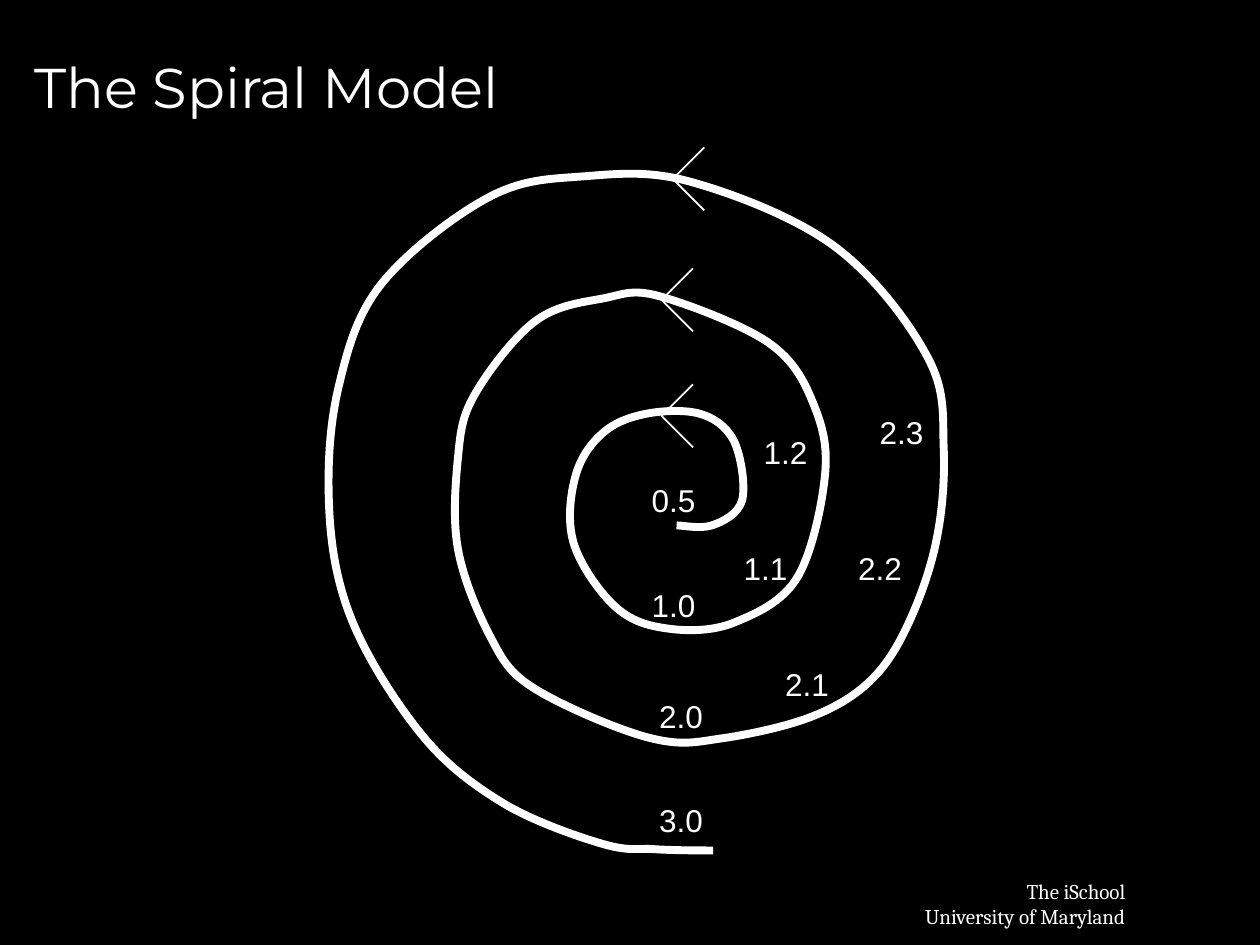
from dataclasses import dataclass

from lxml import etree
from pptx import Presentation
from pptx.dml.color import RGBColor
from pptx.enum.shapes import MSO_CONNECTOR
from pptx.enum.text import MSO_ANCHOR, MSO_AUTO_SIZE, PP_ALIGN
from pptx.oxml.ns import qn
from pptx.util import Pt

LEFT, CENTER, RIGHT = PP_ALIGN.LEFT, PP_ALIGN.CENTER, PP_ALIGN.RIGHT
MIDDLE = MSO_ANCHOR.MIDDLE
NO_FIT, GROW = MSO_AUTO_SIZE.NONE, MSO_AUTO_SIZE.SHAPE_TO_FIT_TEXT
STRAIGHT = MSO_CONNECTOR.STRAIGHT
PX = 9144  # 100 px to the inch


@dataclass(frozen=True)
class Theme:
    back: RGBColor = RGBColor(0, 0, 0)
    ink: RGBColor = RGBColor(255, 255, 255)
    title_font: str = "Montserrat"
    label_font: str = "Arial"
    footer_font: str = "Cambria"
    title_size: int = 32
    label_size: int = 18
    footer_size: int = 12
    spiral_width: float = 4.5
    arrow_width: int = 1


theme = Theme()


def format_text(tf, font, size, align):
    for p in tf.paragraphs:
        p.alignment = align
        for r in p.runs:
            r.font.name = font
            r.font.size = Pt(size)
            r.font.color.rgb = theme.ink


def add_text(x, y, w, h, text, font, size, align):
    tf = s.shapes.add_textbox(x * PX, y * PX, w * PX, h * PX).text_frame
    tf.text = text
    tf.word_wrap = False
    tf.auto_size = GROW
    format_text(tf, font, size, align)


prs = Presentation()
prs.slide_width, prs.slide_height = 1000 * PX, 750 * PX
s = prs.slides.add_slide(prs.slide_layouts[5])
s.background.fill.solid()
s.background.fill.fore_color.rgb = theme.back

add_text(709, 692, 194, 50, "The iSchool\nUniversity of Maryland",
         theme.footer_font, theme.footer_size, RIGHT)

title = s.shapes.title
title.left, title.top, title.width, title.height = 17 * PX, 12 * PX, 950 * PX, 112 * PX
tf = title.text_frame
tf.text = "The Spiral Model"
tf.vertical_anchor = MIDDLE
tf.auto_size = NO_FIT
format_text(tf, theme.title_font, theme.title_size, LEFT)

# Knots of the spiral, from the centre outwards
KNOTS = [
    (537, 417), (565, 417), (589, 397), (582, 349), (554, 328), (510, 329),
    (478, 344), (457, 377), (455, 430), (490, 483), (531, 499), (583, 494),
    (633, 458), (655, 375), (645, 319), (610, 272), (523, 235), (478, 237),
    (426, 254), (378, 311), (364, 358), (363, 433), (389, 505), (425, 547),
    (517, 586), (573, 586), (641, 570), (689, 542), (720, 497), (743, 430),
    (749, 356), (737, 285), (663, 196), (547, 144), (463, 140), (389, 156),
    (303, 225), (269, 306), (261, 397), (278, 489), (333, 581), (397, 636),
    (479, 670), (520, 674), (566, 675),
]
# A smooth curve through the knots: two handles and an end for each step
bezier_points = []
for i in range(len(KNOTS) - 1):
    before, start = KNOTS[max(i - 1, 0)], KNOTS[i]
    end, after = KNOTS[i + 1], KNOTS[min(i + 2, len(KNOTS) - 1)]
    bezier_points += [
        tuple(a + (c - b) / 6 for a, b, c in zip(start, before, end)),
        tuple(a - (c - b) / 6 for a, b, c in zip(end, start, after)),
        end,
    ]
builder = s.shapes.build_freeform(*KNOTS[0], scale=PX)
builder.add_line_segments(bezier_points, close=False)
sp = builder.convert_to_shape()
sp.shadow.inherit = False
sp.fill.background()
sp.line.color.rgb = theme.ink
sp.line.width = Pt(theme.spiral_width)

# Turn every three straight segments into one Bezier curve
path = next(sp._element.iter(qn("a:path")))
segments = path.findall(qn("a:lnTo"))
for i in range(0, len(segments), 3):
    curve = etree.SubElement(path, qn("a:cubicBezTo"))
    for segment in segments[i:i + 3]:
        curve.append(segment[0])
        path.remove(segment)

versions = [
    ("1.0", 507, 460), ("0.5", 507, 377), ("2.0", 513, 548),
    ("3.0", 513, 631), ("1.1", 580, 431), ("1.2", 596, 339),
    ("2.1", 613, 523), ("2.2", 671, 431), ("2.3", 688, 323),
]
for version, x, y in versions:
    add_text(x, y, 55, 40, version, theme.label_font, theme.label_size, CENTER)

ARROW_SPAN = 25
for x, y in [(534, 142), (525, 238), (525, 330)]:
    for dy in (ARROW_SPAN, -ARROW_SPAN):
        barb = s.shapes.add_connector(STRAIGHT, x * PX, y * PX,
                                      (x + ARROW_SPAN) * PX, (y + dy) * PX)
        barb.line.color.rgb = theme.ink
        barb.line.width = Pt(theme.arrow_width)
        etree.SubElement(barb._element.spPr, qn("a:effectLst"))

prs.save("out.pptx")
